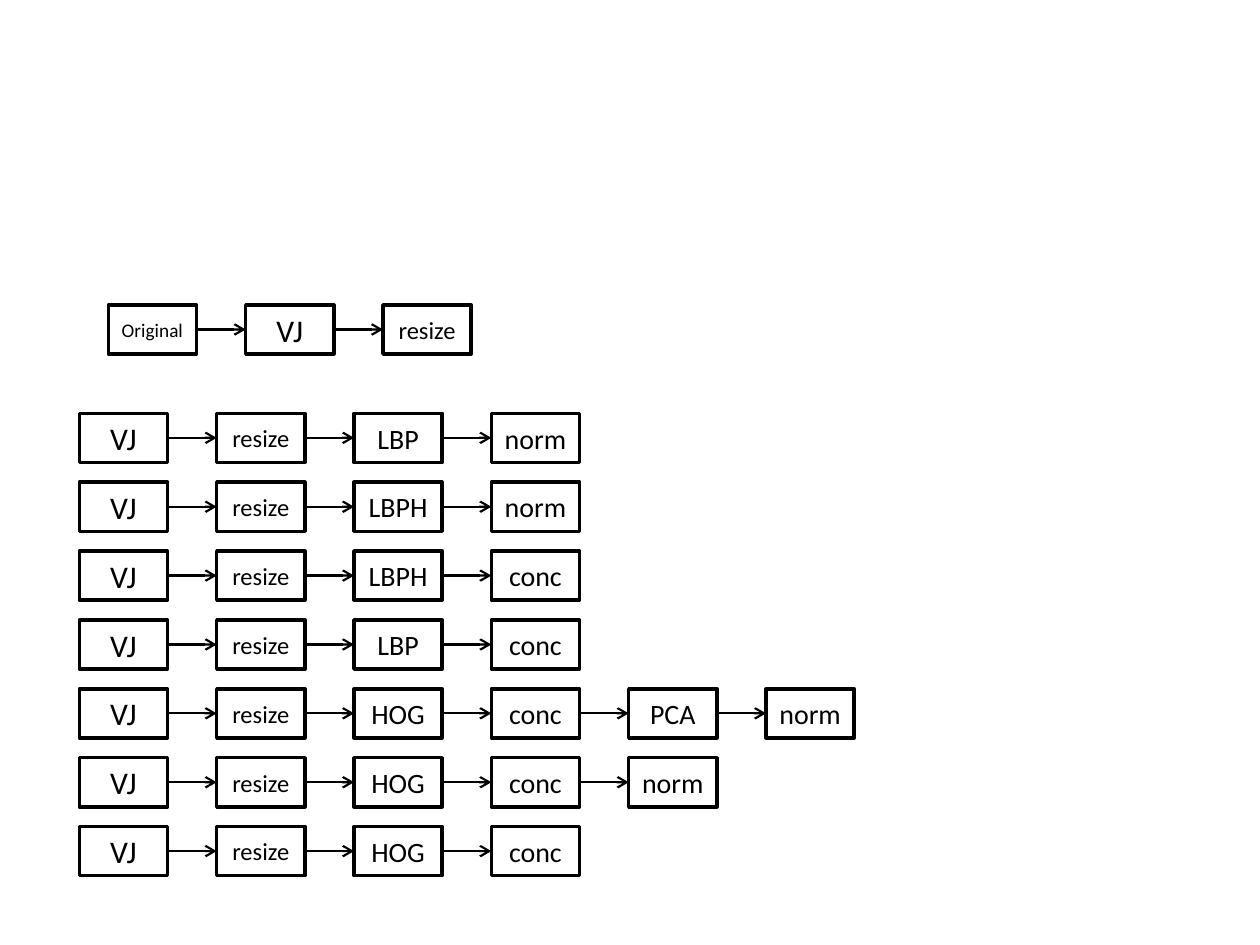
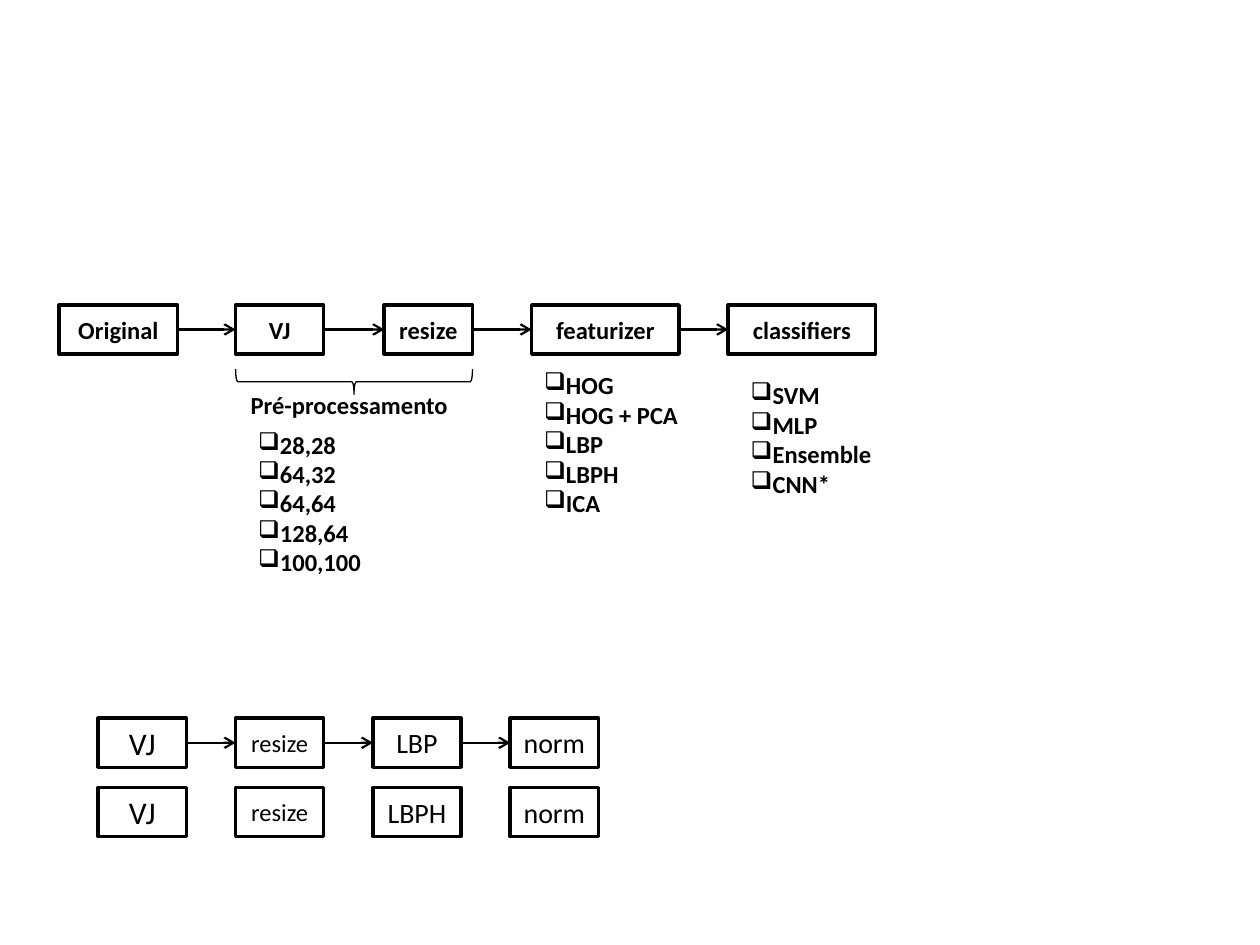
import pptx
import pptx.dml.color
import pptx.enum.shapes
import pptx.enum.text
import pptx.oxml.ns
import pptx.util
from lxml import etree

Inches = pptx.util.Inches
Pt = pptx.util.Pt
BLACK = pptx.dml.color.RGBColor(0x00, 0x00, 0x00)
FONT = "Calibri"
BOX_WIDTH = 0.7
BOX_HEIGHT = 0.39
BOX_GAP = 0.39
LABEL_SIZES = {"VJ": 18, "resize": 14, "Original": 11}
DEFAULT_SIZE = 16
BOLD_SIZE = 14
OVERVIEW_TOP = 2.42
BULLET = "❑"
BULLET_INDENT = 0.17

PIPELINES = [
    ["VJ", "resize", "LBP", "norm"],
    ["VJ", "resize", "LBPH", "norm"],
    ["VJ", "resize", "LBPH", "conc"],
    ["VJ", "resize", "LBP", "conc"],
    ["VJ", "resize", "HOG", "conc", "PCA", "norm"],
    ["VJ", "resize", "HOG", "conc", "norm"],
    ["VJ", "resize", "HOG", "conc"],
]
STAGES = [
    ("Original", 0.47, 0.94),
    ("VJ", 1.87, BOX_WIDTH),
    ("resize", 3.05, BOX_WIDTH),
    ("featurizer", 4.22, 1.17),
    ("classifiers", 5.78, 1.17),
]
OPTION_LISTS = [
    (["HOG", "HOG + PCA", "LBP", "LBPH", "ICA"], 4.22, 2.89, 1.27, 1.28),
    (["SVM", "MLP", "Ensemble", "CNN*"], 5.86, 2.97, 1.17, 1.04),
    (["28,28", "64,32", "64,64", "128,64", "100,100"], 1.95, 3.36, 1.03, 1.28),
]


def add_element(parent, tag, **attributes):
    return etree.SubElement(parent, pptx.oxml.ns.qn(tag), attributes)


def format_paragraph(para, size, bold):
    para.font.name = FONT
    para.font.size = Pt(size)
    para.font.bold = bold
    para.font.color.rgb = BLACK


def add_outline(page, kind, left, top, width, height, line_width):
    shape = page.shapes.add_shape(
        kind, Inches(left), Inches(top), Inches(width), Inches(height))
    shape.shadow.inherit = False
    shape.fill.background()
    shape.line.color.rgb = BLACK
    shape.line.width = Pt(line_width)
    return shape


def add_box(page, label, left, top, width, size, bold):
    rectangle = pptx.enum.shapes.MSO_SHAPE.RECTANGLE
    box = add_outline(page, rectangle, left, top, width, BOX_HEIGHT, 2)
    box.text_frame.vertical_anchor = pptx.enum.text.MSO_ANCHOR.MIDDLE
    para = box.text_frame.paragraphs[0]
    para.text = label
    para.alignment = pptx.enum.text.PP_ALIGN.CENTER
    format_paragraph(para, size, bold)
    return box


def add_arrows(page, boxes):
    straight = pptx.enum.shapes.MSO_CONNECTOR.STRAIGHT
    for source, target in zip(boxes, boxes[1:]):
        arrow = page.shapes.add_connector(straight, 0, 0, 0, 0)
        arrow.begin_connect(source, 3)
        arrow.end_connect(target, 1)
        arrow.line.color.rgb = BLACK
        arrow.line.width = Pt(1.25)
        add_element(arrow.line._get_or_add_ln(), "a:tailEnd", type="arrow")
        add_element(arrow._element.spPr, "a:effectLst")


def add_pipeline(page, labels, left, top, arrows=True):
    boxes = [
        add_box(page, label, left + column * (BOX_WIDTH + BOX_GAP), top,
                BOX_WIDTH, LABEL_SIZES.get(label, DEFAULT_SIZE), False)
        for column, label in enumerate(labels)
    ]
    if arrows:
        add_arrows(page, boxes)


def add_bold_text(page, lines, left, top, width, height, bulleted):
    box = page.shapes.add_textbox(
        Inches(left), Inches(top), Inches(width), Inches(height))
    frame = box.text_frame
    frame.word_wrap = False
    frame.auto_size = pptx.enum.text.MSO_AUTO_SIZE.SHAPE_TO_FIT_TEXT
    frame.text = "\n".join(lines)
    for para in frame.paragraphs:
        format_paragraph(para, BOLD_SIZE, True)
        if bulleted:
            properties = para._p.get_or_add_pPr()
            properties.set("marL", str(Inches(BULLET_INDENT)))
            properties.set("indent", str(-Inches(BULLET_INDENT)))
            bullet = etree.Element(
                pptx.oxml.ns.qn("a:buChar"), {"char": BULLET})
            properties.insert(0, bullet)


def build_pipelines(page):
    add_pipeline(page, ["Original", "VJ", "resize"], 0.86, OVERVIEW_TOP)
    first_top, last_top = 3.28, 6.56
    pitch = (last_top - first_top) / (len(PIPELINES) - 1)
    for row, labels in enumerate(PIPELINES):
        add_pipeline(page, labels, 0.63, first_top + row * pitch)


def build_overview(page):
    add_pipeline(page, PIPELINES[0], 0.78, 5.7)
    add_pipeline(page, PIPELINES[1], 0.78, 6.25, arrows=False)
    add_arrows(page, [
        add_box(page, label, left, OVERVIEW_TOP, width, BOLD_SIZE, True)
        for label, left, width in STAGES
    ])
    left_brace = pptx.enum.shapes.MSO_SHAPE.LEFT_BRACE
    brace = add_outline(page, left_brace, 2.71, 2.09, 0.2, 1.88, 0.75)
    brace.rotation = 270
    add_bold_text(page, ["Pré-processamento"], 1.89, 3.05, 1.78, 0.34, False)
    for options, left, top, width, height in OPTION_LISTS:
        add_bold_text(page, options, left, top, width, height, True)


def main():
    deck = pptx.Presentation()
    deck.slide_width = Inches(10)
    deck.slide_height = Inches(7.5)
    blank = deck.slide_layouts.get_by_name("Blank")
    for build in (build_pipelines, build_overview):
        build(deck.slides.add_slide(blank))
    deck.save("out.pptx")


if __name__ == "__main__":
    main()
